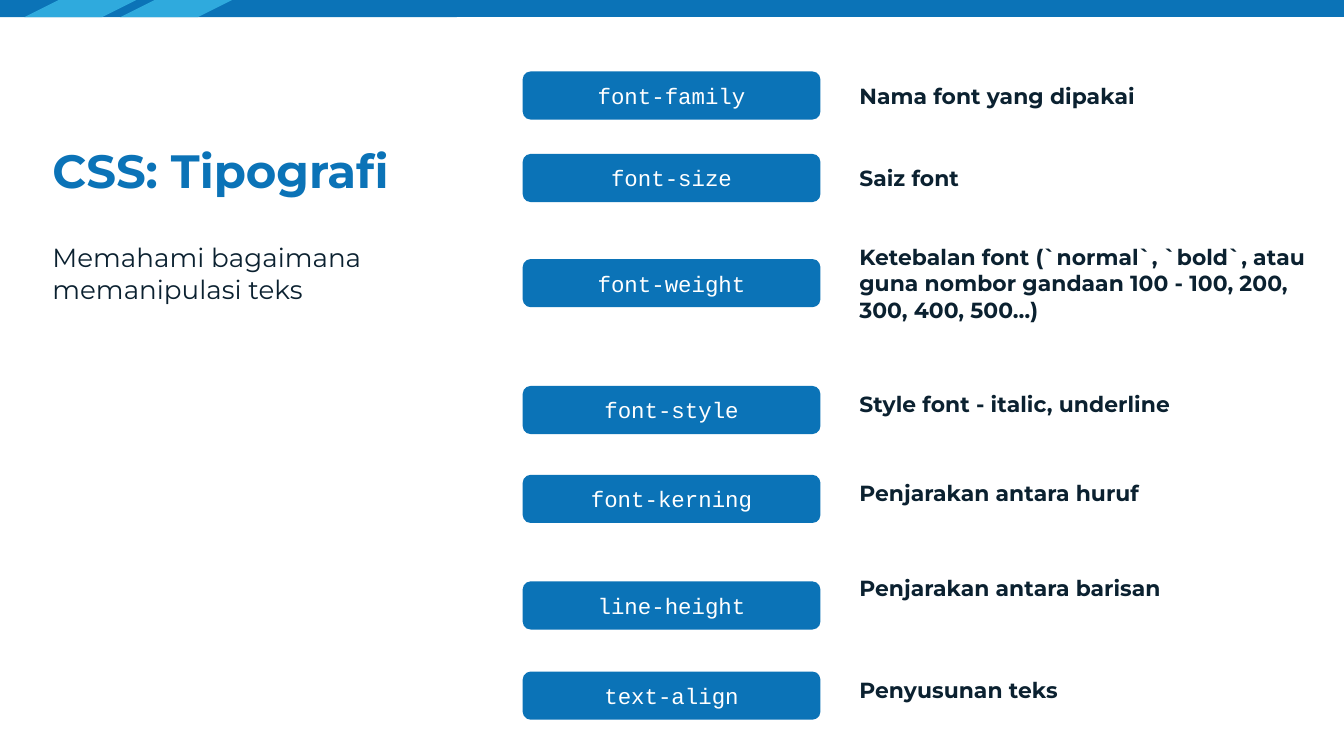
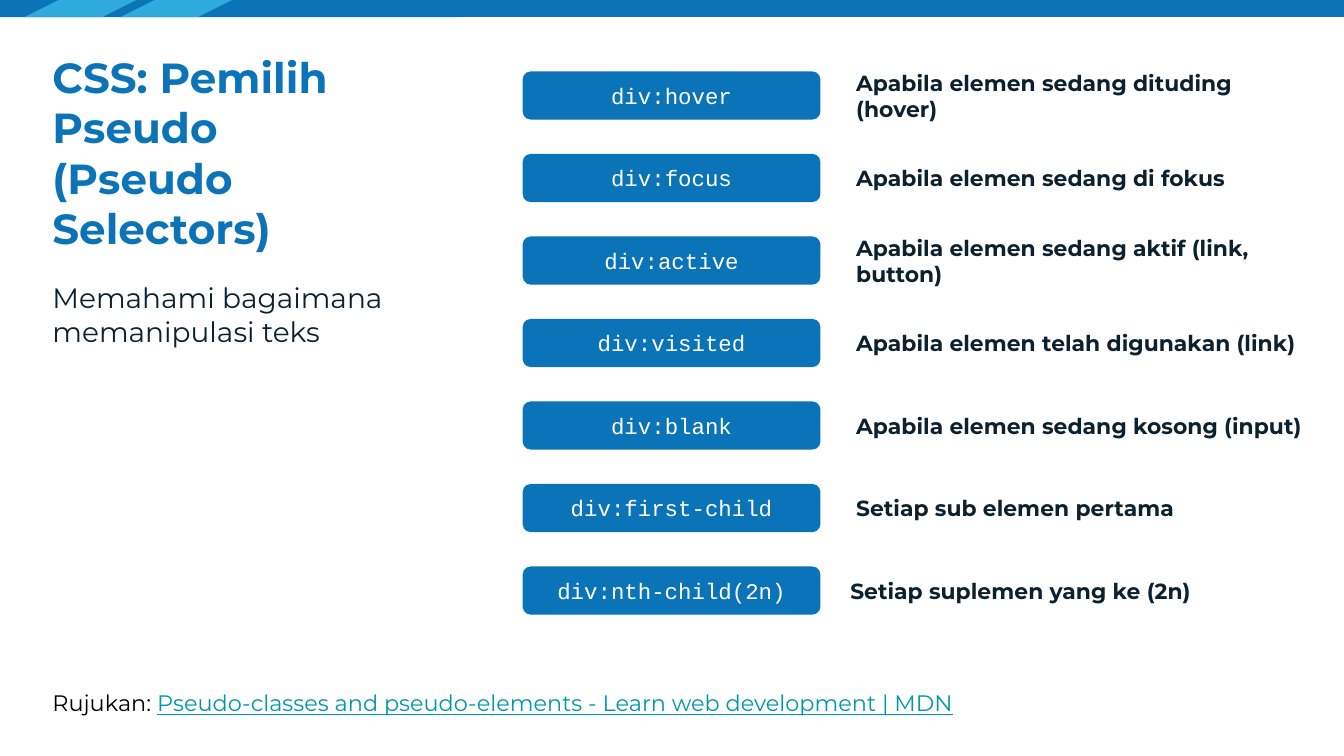
from pptx import Presentation
from pptx.dml.color import RGBColor
from pptx.enum.shapes import MSO_SHAPE as Shape
from pptx.enum.text import MSO_ANCHOR as Anchor, MSO_AUTO_SIZE as AutoSize, PP_ALIGN as Align
from pptx.util import Pt

# Content: each row is (code, meaning)
SUBTITLE = "Memahami bagaimana memanipulasi teks"
TYPOGRAPHY = [
    ("font-family", "Nama font yang dipakai"),
    ("font-size", "Saiz font"),
    ("font-weight", "Ketebalan font (`normal`, `bold`, atau guna nombor gandaan "
                    "100 - 100, 200, 300, 400, 500…)"),
    ("font-style", "Style font - italic, underline"),
    ("font-kerning", "Penjarakan antara huruf"),
    ("line-height", "Penjarakan antara barisan"),
    ("text-align", "Penyusunan teks"),
]
PSEUDO = [
    ("div:hover", "Apabila elemen sedang dituding (hover)"),
    ("div:focus", "Apabila elemen sedang di fokus"),
    ("div:active", "Apabila elemen sedang aktif (link, button)"),
    ("div:visited", "Apabila elemen telah digunakan (link)"),
    ("div:blank", "Apabila elemen sedang kosong (input)"),
    ("div:first-child", "Setiap sub elemen pertama"),
    ("div:nth-child(2n)", "Setiap suplemen yang ke (2n)"),
]
REFERENCE = ["Rujukan: ", "Pseudo-classes and pseudo-elements - Learn web development | MDN"]

# Shared style
BLUE, SKY, NAVY, WHITE, BLACK, TEAL = "0B73B7", "2FAADD", "0B2130", "FFFFFF", "000000", "0097A7"
SANS, MONO = "Montserrat", "Courier New"
WIDTH, HEIGHT, BAND = 720, 405, 9.2
LEFT, LEFT_WIDTH, INSET = 21, 198.8, 7.2
CODE_LEFT, CODE_WIDTH, ROW_HEIGHT = 280, 159.5, 25.8
FIRST_ROW, ROW_PITCH = 38.3, 44.2

# Placement of rows: tops of code boxes, then (left, top, width) of meanings
CODE_TOPS_1 = [38.3, 82.5, 138.8, 206.8, 254.4, 311.5, 359.8]
MEANING_TOPS_1 = [38.3, 82.5, 138.8, 203.6, 251.2, 302, 356.6]
MEANING_SPOTS_1 = [(453.3, top, 258.5) for top in MEANING_TOPS_1]
CODE_TOPS_2 = [FIRST_ROW + ROW_PITCH * row for row in range(len(PSEUDO))]
MEANING_LEFTS_2 = [451.6] * 6 + [448.4]
MEANING_WIDTHS_2 = [260.6, 231, 268.4, 265, 260.6, 196, 198.8]
MEANING_SPOTS_2 = list(zip(MEANING_LEFTS_2, CODE_TOPS_2, MEANING_WIDTHS_2))


def color(value):
    return RGBColor.from_string(value)


def add_block(slide, kind, left, top, width, height, fill):
    shape = slide.shapes.add_shape(kind, Pt(left), Pt(top), Pt(width), Pt(height))
    shape.shadow.inherit = False
    shape.fill.solid()
    shape.fill.fore_color.rgb = color(fill)
    shape.line.fill.background()
    return shape


def write(shape, text, size, ink, font=SANS, bold=False, anchor=Anchor.MIDDLE, align=Align.LEFT):
    frame = shape.text_frame
    frame.word_wrap = True
    frame.vertical_anchor = anchor
    frame.margin_left = frame.margin_right = Pt(INSET)
    frame.margin_top = frame.margin_bottom = Pt(INSET)
    frame.text = text
    paragraph = frame.paragraphs[0]
    paragraph.alignment = align
    style_run(paragraph.runs[0], size, ink, font, bold)


def style_run(run, size, ink, font=SANS, bold=False):
    run.font.size = Pt(size)
    run.font.name = font
    run.font.bold = bold
    run.font.color.rgb = color(ink)


def add_text(slide, left, top, width, height, *style, **options):
    box = slide.shapes.add_textbox(Pt(left), Pt(top), Pt(width), Pt(height))
    write(box, *style, **options)
    return box


def add_base(presentation):
    slide = presentation.slides.add_slide(presentation.slide_layouts[6])
    slide.background.fill.solid()
    slide.background.fill.fore_color.rgb = color(WHITE)
    # Top band with two slanted accents, and the right panel
    add_block(slide, Shape.RECTANGLE, 0, 0, WIDTH, BAND, BLUE)
    for left in (13, 64.4):
        accent = add_block(slide, Shape.PARALLELOGRAM, left, 0, 60, BAND, SKY)
        accent.adjustments[0] = 2
    add_block(slide, Shape.RECTANGLE, 244.8, BAND, WIDTH - 244.8, HEIGHT - BAND, WHITE)
    return slide


def add_heading(slide, title, title_size, title_height, subtitle_top, subtitle_size):
    add_text(slide, LEFT, FIRST_ROW, LEFT_WIDTH, title_height, title, title_size, BLUE,
             bold=True, anchor=Anchor.BOTTOM)
    add_text(slide, LEFT, subtitle_top, LEFT_WIDTH, 97, SUBTITLE, subtitle_size, NAVY,
             anchor=Anchor.TOP)


def add_rows(slide, rows, code_tops, meaning_spots):
    for (code, meaning), code_top, (left, top, width) in zip(rows, code_tops, meaning_spots):
        box = add_block(slide, Shape.ROUNDED_RECTANGLE, CODE_LEFT, code_top,
                        CODE_WIDTH, ROW_HEIGHT, BLUE)
        write(box, code, 12, WHITE, font=MONO, align=Align.CENTER)
        add_text(slide, left, top, width, ROW_HEIGHT, meaning, 11.7, NAVY, bold=True)


def main():
    presentation = Presentation()
    presentation.slide_width, presentation.slide_height = Pt(WIDTH), Pt(HEIGHT)

    # Typography
    slide = add_base(presentation)
    add_heading(slide, "CSS: Tipografi", 25, 74.9, 122.4, 14)
    add_rows(slide, TYPOGRAPHY, CODE_TOPS_1, MEANING_SPOTS_1)

    # Pseudo selectors, with the reference line below
    slide = add_base(presentation)
    add_heading(slide, "CSS: Pemilih Pseudo (Pseudo Selectors)", 22.5, 104.4, 143.3, 15)
    add_rows(slide, PSEUDO, CODE_TOPS_2, MEANING_SPOTS_2)
    label, source = REFERENCE
    box = add_text(slide, LEFT, 362.2, 659.5, 28.8, label, 12, BLACK, anchor=Anchor.TOP)
    box.text_frame.auto_size = AutoSize.SHAPE_TO_FIT_TEXT
    run = box.text_frame.paragraphs[0].add_run()
    run.text = source
    style_run(run, 12, TEAL)
    run.font.underline = True

    presentation.save("out.pptx")


if __name__ == "__main__":
    main()
